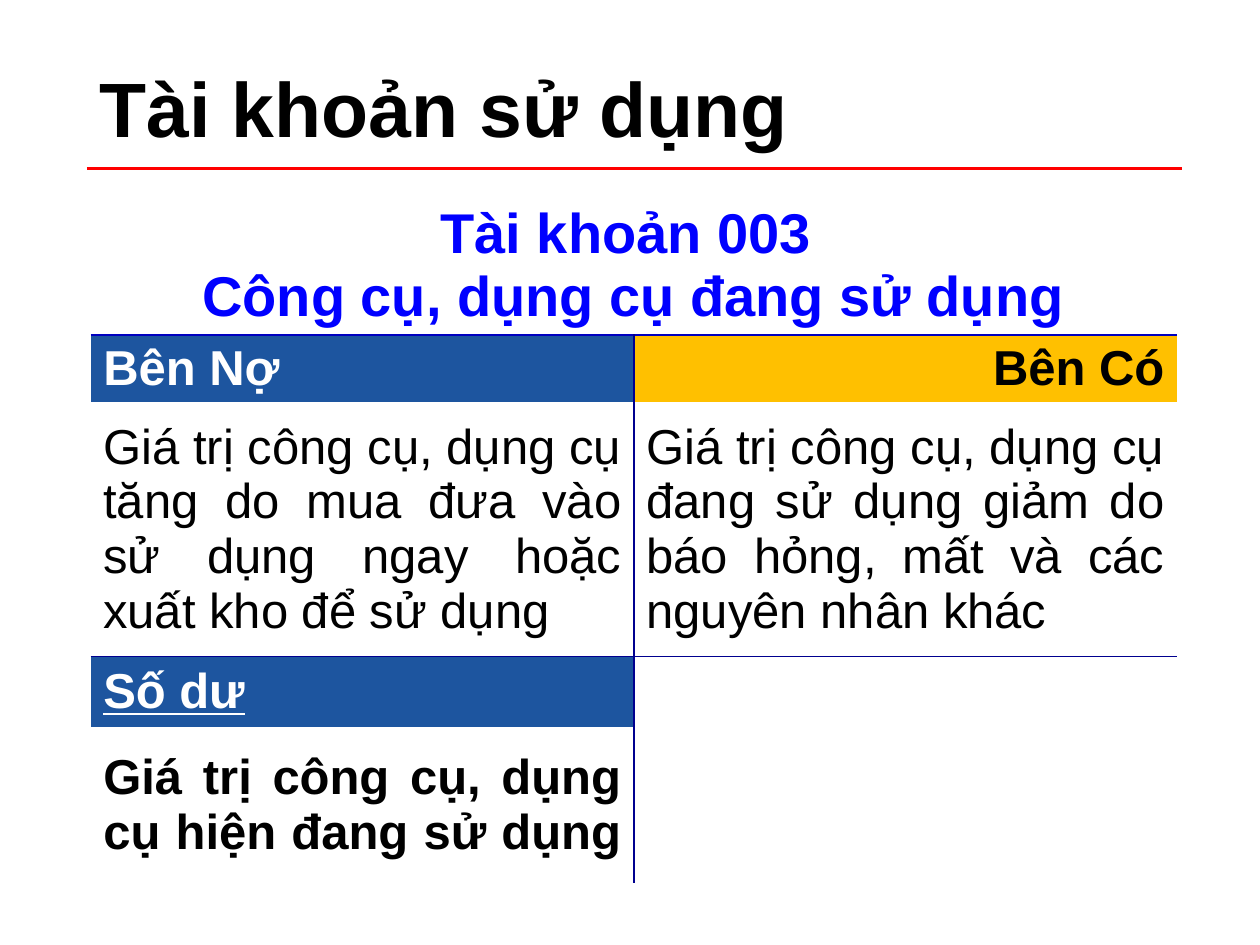
from lxml import etree
from pptx import Presentation
from pptx import util as u
from pptx.dml.color import RGBColor
from pptx.enum import shapes, text
from pptx.oxml.ns import qn

BLACK = RGBColor(0, 0, 0)
WHITE = RGBColor(255, 255, 255)
RED = RGBColor(255, 0, 0)
HEADING_BLUE = RGBColor(0, 0, 255)
DEBIT_BLUE = RGBColor(0x1D, 0x55, 0x9F)
CREDIT_GOLD = RGBColor(0xFF, 0xC0, 0)
RULE_NAVY = RGBColor(0, 0, 0x8F)
HEADING_NAVY = RGBColor(0, 0, 0xBF)

LEFT, CENTER, RIGHT, JUSTIFY = (
    text.PP_ALIGN.LEFT, text.PP_ALIGN.CENTER, text.PP_ALIGN.RIGHT, text.PP_ALIGN.JUSTIFY)
ROW_HEIGHTS = (1.02, 0.52, 2.02, 0.56, 1.24)


def style(para, size, color, bold=True, align=LEFT, underline=None):
    para.alignment = align
    font = para.font
    font.name, font.size, font.bold, font.underline = "Arial", u.Pt(size), bold, underline
    font.color.rgb = color


def add_title(page, left, top, width, height):
    title = page.shapes.title
    title.left, title.top, title.width, title.height = map(u.Inches, (left, top, width, height))
    frame = title.text_frame
    frame.text = "Tài khoản sử dụng"
    frame.auto_size = text.MSO_AUTO_SIZE.NONE
    frame.vertical_anchor = text.MSO_ANCHOR.MIDDLE
    para = frame.paragraphs[0]
    para.line_spacing = 0.9
    style(para, 44, BLACK)


def add_title_rule(page, left, top, width):
    rule = page.shapes.add_connector(
        shapes.MSO_CONNECTOR.STRAIGHT, *map(u.Inches, (left, top, left + width, top)))
    rule.line.color.rgb = RED
    rule.line.width = u.Pt(1.5)
    etree.SubElement(rule._element.spPr, qn("a:effectLst"))


def set_borders(cell, borders):
    properties = cell._tc.get_or_add_tcPr()
    for side in "LRTB":
        line = etree.SubElement(properties, qn(f"a:ln{side}"), w=str(u.Pt(1)))
        if side in borders:
            fill = etree.SubElement(line, qn("a:solidFill"))
            etree.SubElement(fill, qn("a:srgbClr"), val=str(borders[side]))
        else:
            etree.SubElement(line, qn("a:noFill"))


def account_borders(row, column):
    if row == 0:
        return {"B": HEADING_NAVY}
    borders = {"L" if column else "R": RULE_NAVY}
    if row == 1:
        borders["T"] = HEADING_NAVY
    if row == 2:
        borders["B"] = RULE_NAVY
    if row == 3:
        borders["T"] = RULE_NAVY
    return borders


def fill_cell(cell, wording, size, color, bold=True, align=LEFT, underline=None, back=None):
    cell.text = wording
    cell.vertical_anchor = text.MSO_ANCHOR.MIDDLE
    for para in cell.text_frame.paragraphs:
        style(para, size, color, bold, align, underline)
    if back is not None:
        cell.fill.solid()
        cell.fill.fore_color.rgb = back


def add_account(page, left, top, width):
    box = map(u.Inches, (left, top, width, sum(ROW_HEIGHTS)))
    table = page.shapes.add_table(len(ROW_HEIGHTS), 2, *box).table
    table.first_row = table.horz_banding = False
    for column in table.columns:
        column.width = u.Inches(width / 2)
    for row, height in enumerate(ROW_HEIGHTS):
        table.rows[row].height = u.Inches(height)
        for column in range(2):
            cell = table.cell(row, column)
            set_borders(cell, account_borders(row, column))
            cell.fill.background()
    table.cell(0, 0).merge(table.cell(0, 1))

    fill_cell(table.cell(0, 0), "Tài khoản 003 \nCông cụ, dụng cụ đang sử dụng",
              32, HEADING_BLUE, align=CENTER)
    fill_cell(table.cell(1, 0), "Bên Nợ", 28, WHITE, back=DEBIT_BLUE)
    fill_cell(table.cell(1, 1), "Bên Có", 28, BLACK, align=RIGHT, back=CREDIT_GOLD)
    fill_cell(table.cell(2, 0),
              "Giá trị công cụ, dụng cụ tăng do mua đưa vào sử dụng ngay hoặc "
              "xuất kho để sử dụng", 28, BLACK, bold=False, align=JUSTIFY)
    fill_cell(table.cell(2, 1),
              "Giá trị công cụ, dụng cụ đang sử dụng giảm do báo hỏng, mất và các "
              "nguyên nhân khác", 28, BLACK, bold=False, align=JUSTIFY)
    fill_cell(table.cell(3, 0), "Số dư", 28, WHITE, underline=True, back=DEBIT_BLUE)
    fill_cell(table.cell(4, 0), "Giá trị công cụ, dụng cụ hiện đang sử dụng ",
              28, BLACK, align=JUSTIFY)


def main():
    deck = Presentation()
    deck.slide_width, deck.slide_height = u.Inches(10), u.Inches(7.5)
    page = deck.slides.add_slide(deck.slide_layouts.get_by_name("Title Only"))
    add_title(page, 0.69, 0.4, 8.62, 0.98)
    add_account(page, 0.72, 1.56, 8.62)
    add_title_rule(page, 0.69, 1.34, 8.69)
    deck.save("out.pptx")


if __name__ == "__main__":
    main()
